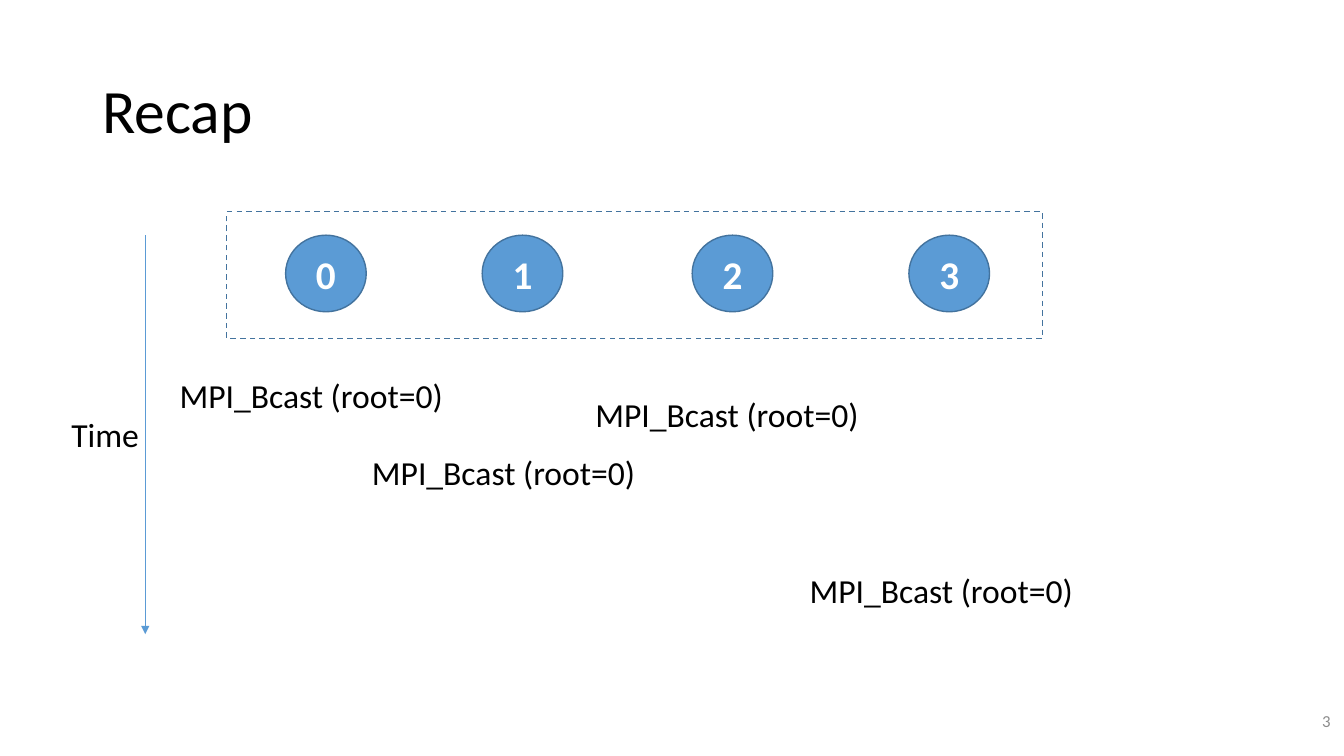
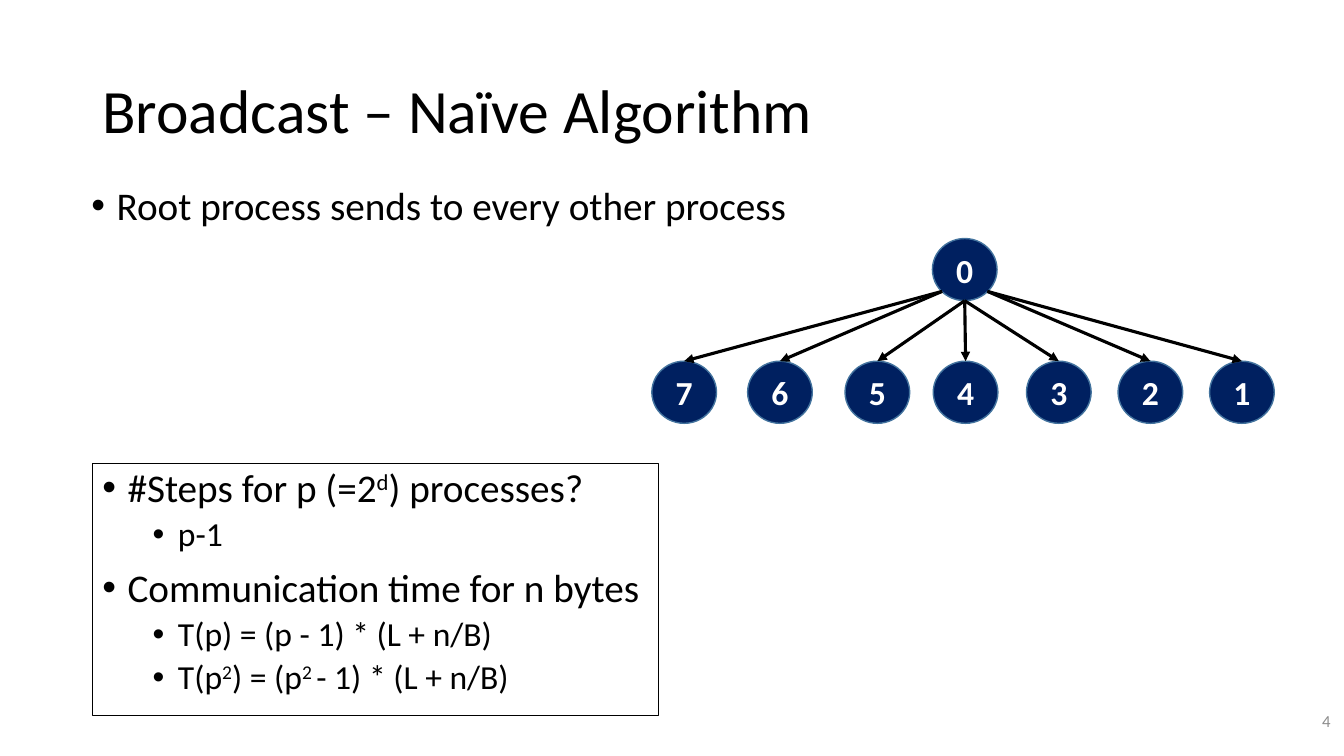
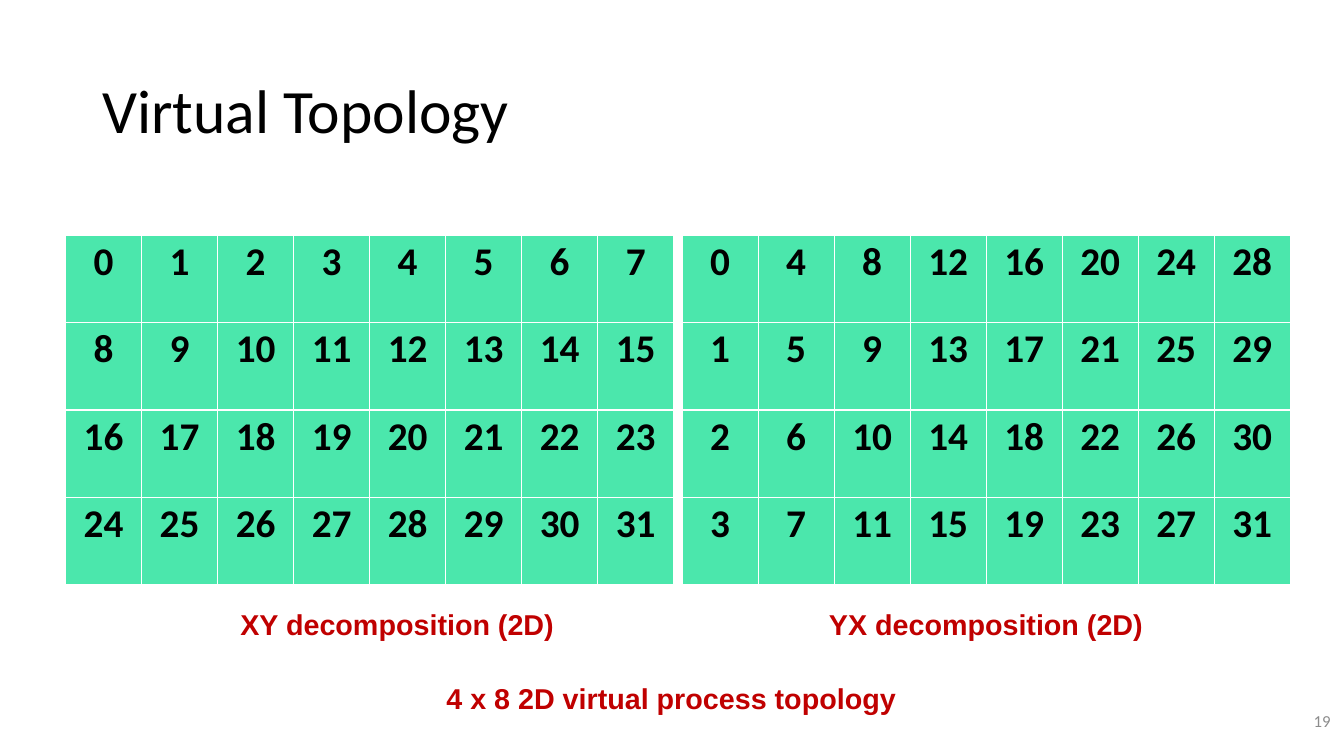
import pptx
import pptx.util
import pptx.dml.color
import pptx.enum.dml
import pptx.enum.shapes
import pptx.enum.text
import pptx.oxml
import pptx.oxml.ns
import lxml.etree

Pt = pptx.util.Pt
Align = pptx.enum.text.PP_ALIGN
Anchor = pptx.enum.text.MSO_ANCHOR
Shape = pptx.enum.shapes.MSO_SHAPE
qn = pptx.oxml.ns.qn

WIDE, HIGH = pptx.util.Inches(13.33), pptx.util.Inches(7.5)
COLS, ROWS = 80, 45
BLACK, WHITE, GREY, RED = "000000", "FFFFFF", "8C8C8C", "C00000"
BLUE, EDGE, NAVY, MINT = "5B9BD5", "43739E", "002060", "4BE7AC"


def hue(code):
    return pptx.dml.color.RGBColor.from_string(code)


def sub(node, tag, **attrs):
    return lxml.etree.SubElement(node, qn(tag), **attrs)


class Deck:
    """Holds the shared style and the current slide, placing elements on an 80 by 45 grid."""

    def __init__(self):
        self.show = pptx.Presentation()
        self.show.slide_width, self.show.slide_height = WIDE, HIGH

    def grid(self, x, y):
        return round(x * WIDE / COLS), round(y * HIGH / ROWS)

    def area(self, x, y, w, h):
        return *self.grid(x, y), *self.grid(w, h)

    def page(self, title, number):
        self.slide = self.show.slides.add_slide(self.show.slide_layouts[6])
        head = self.text((5.5, 2.4, 69, 8.7), title, 44, anchor=Anchor.MIDDLE)
        head.text_frame.paragraphs[0].line_spacing = 0.9
        self.text((61.8, 41.7, 18, 2.4), str(number), 12, GREY,
                  align=Align.RIGHT, anchor=Anchor.MIDDLE)

    def font(self, para, size, color=BLACK, bold=False, face="Calibri"):
        for run in para.runs:
            run.font.size = Pt(size)
            run.font.name = face
            run.font.bold = bold
            run.font.color.rgb = hue(color)

    def text(self, spot, words, size, color=BLACK, bold=False, face="Calibri",
             align=Align.LEFT, anchor=Anchor.TOP, wrap=True):
        box = self.slide.shapes.add_textbox(*self.area(*spot))
        frame = box.text_frame
        frame.word_wrap = wrap
        frame.vertical_anchor = anchor
        frame.text = words
        frame.paragraphs[0].alignment = align
        self.font(frame.paragraphs[0], size, color, bold, face)
        return box

    def label(self, spot, words):
        self.text(spot, words, 20.5, RED, True, "Arial", Align.CENTER, wrap=False)

    def shape(self, kind, spot, fill, edge=EDGE, width=1):
        item = self.slide.shapes.add_shape(kind, *self.area(*spot))
        item.shadow.inherit = False
        if fill:
            item.fill.solid()
            item.fill.fore_color.rgb = hue(fill)
        else:
            item.fill.background()
        item.line.color.rgb = hue(edge)
        item.line.width = Pt(width)
        return item

    def node(self, spot, name, fill, size):
        ball = self.shape(Shape.OVAL, spot, fill)
        frame = ball.text_frame
        frame.text = name
        frame.vertical_anchor = Anchor.MIDDLE
        frame.paragraphs[0].alignment = Align.CENTER
        self.font(frame.paragraphs[0], size, WHITE, True)
        return ball

    def arrow(self, start, end, color, width):
        kind = pptx.enum.shapes.MSO_CONNECTOR.STRAIGHT
        line = self.slide.shapes.add_connector(kind, *self.grid(*start), *self.grid(*end))
        line.line.color.rgb = hue(color)
        line.line.width = Pt(width)
        props = line._element.spPr
        sub(props.find(qn("a:ln")), "a:tailEnd", type="triangle")
        sub(props, "a:effectLst")
        return line

    def list(self, box, items):
        frame = box.text_frame
        frame.word_wrap = True
        frame.vertical_anchor = Anchor.TOP
        for i, (level, words) in enumerate(items):
            para = frame.add_paragraph() if i else frame.paragraphs[0]
            para.level = level
            para.alignment = Align.LEFT
            para.line_spacing = 0.9
            para.space_before = Pt(5 if level else 10)
            for k, part in enumerate(words.split("^")):
                run = para.add_run()
                run.text = part
                if k % 2:
                    run._r.get_or_add_rPr().set("baseline", "30000")
            self.font(para, 24 if level else 28)
            props = para._p.get_or_add_pPr()
            props.set("marL", str(pptx.util.Inches(0.25 + 0.5 * level)))
            props.set("indent", str(pptx.util.Inches(-0.25)))
            sub(props, "a:buFont", typeface="Arial")
            sub(props, "a:buChar", char="•")

    def table(self, spot, rows):
        item = self.slide.shapes.add_table(len(rows), len(rows[0]), *self.area(*spot))
        grid = item.table
        grid.first_row = grid.horz_banding = False
        for r, row in enumerate(rows):
            for c, value in enumerate(row):
                self.cell(grid.cell(r, c), str(value))

    def cell(self, cell, words):
        cell.margin_left = cell.margin_right = pptx.util.Inches(0.06)
        cell.margin_top = cell.margin_bottom = pptx.util.Inches(0.03)
        cell.text = words
        para = cell.text_frame.paragraphs[0]
        para.alignment = Align.CENTER
        self.font(para, 28, bold=True)
        props = cell._tc.get_or_add_tcPr()
        for side in "LRTB":
            edge = sub(props, "a:ln" + side, w=str(Pt(1)))
            sub(sub(edge, "a:solidFill"), "a:srgbClr", val=WHITE)
        cell.fill.solid()
        cell.fill.fore_color.rgb = hue(MINT)


def recap(deck):
    deck.page("Recap", 3)
    frame = deck.shape(Shape.RECTANGLE, (13.5, 12.6, 48.55, 7.56), WHITE)
    frame.line.dash_style = pptx.enum.dml.MSO_LINE.DASH
    for rank, x in enumerate((17, 28.7, 41.2, 54.1)):
        deck.node((x, 14, 4.8, 4.56), str(rank), BLUE, 28)
    for x, y in ((10.1, 22), (21.55, 26.6), (34.85, 23.15), (47.6, 33.65)):
        deck.text((x, y, 17.95, 3), "MPI_Bcast (root=0)", 24)
    deck.arrow((8.65, 14), (8.65, 37.75), BLUE, 0.5)
    deck.text((3.65, 24.35, 5.3, 3), "Time", 24, wrap=False)


def naive(deck):
    deck.page("Broadcast – Naïve Algorithm", 4)
    body = deck.text((4.85, 10.8, 43.25, 6.9), "", 28)
    deck.list(body, [(0, "Root process sends to every other process")])
    w, h = 3.85, 3.7
    left, top = 55.5, 14.2
    deck.node((left, top, w, h), "0", NAVY, 24)
    starts = {-1: (0.15, 0.85), 0: (0.5, 1), 1: (0.85, 0.85)}
    kids = ((7, 38.8, -1), (6, 44.5, -1), (5, 50.3, 0), (4, 55.55, 0),
            (3, 61.1, 0), (2, 66.55, 1), (1, 72, 1))
    for rank, x, side in kids:
        kid = deck.node((x, 21.5, w, h), str(rank), NAVY, 24)
        dx, dy = starts[side]
        line = deck.arrow((left + dx * w, top + dy * h), (x + w / 2, 21.5), BLACK, 2.25)
        line.end_connect(kid, 0)
    box = deck.shape(Shape.RECTANGLE, (5.5, 27.6, 33.7, 15), None, BLACK, 0.75)
    deck.list(box, [
        (0, "#Steps for p (=2^d^) processes?"),
        (1, "p-1"),
        (0, "Communication time for n bytes"),
        (1, "T(p) = (p - 1) * (L + n/B)"),
        (1, "T(p^2^) = (p^2 ^- 1) * (L + n/B)"),
    ])


def layout(deck):
    deck.page("Virtual Topology", 19)
    down, across = 4, 8
    xy = [[r * across + c for c in range(across)] for r in range(down)]
    yx = [[c * down + r for c in range(across)] for r in range(down)]
    for name, x, rows in (("XY", 3.9, xy), ("YX", 40.6, yx)):
        deck.table((x, 14, 36.2, 20.8), rows)
    for name, x in (("XY", 13.6), ("YX", 48.65)):
        deck.label((x, 35.8, 20.1, 2.7), name + " decomposition (2D)")
    deck.label((25.85, 40.2, 28.25, 2.7), "4 x 8 2D virtual process topology")


def main():
    deck = Deck()
    recap(deck)
    naive(deck)
    layout(deck)
    deck.show.save("out.pptx")


if __name__ == "__main__":
    main()
